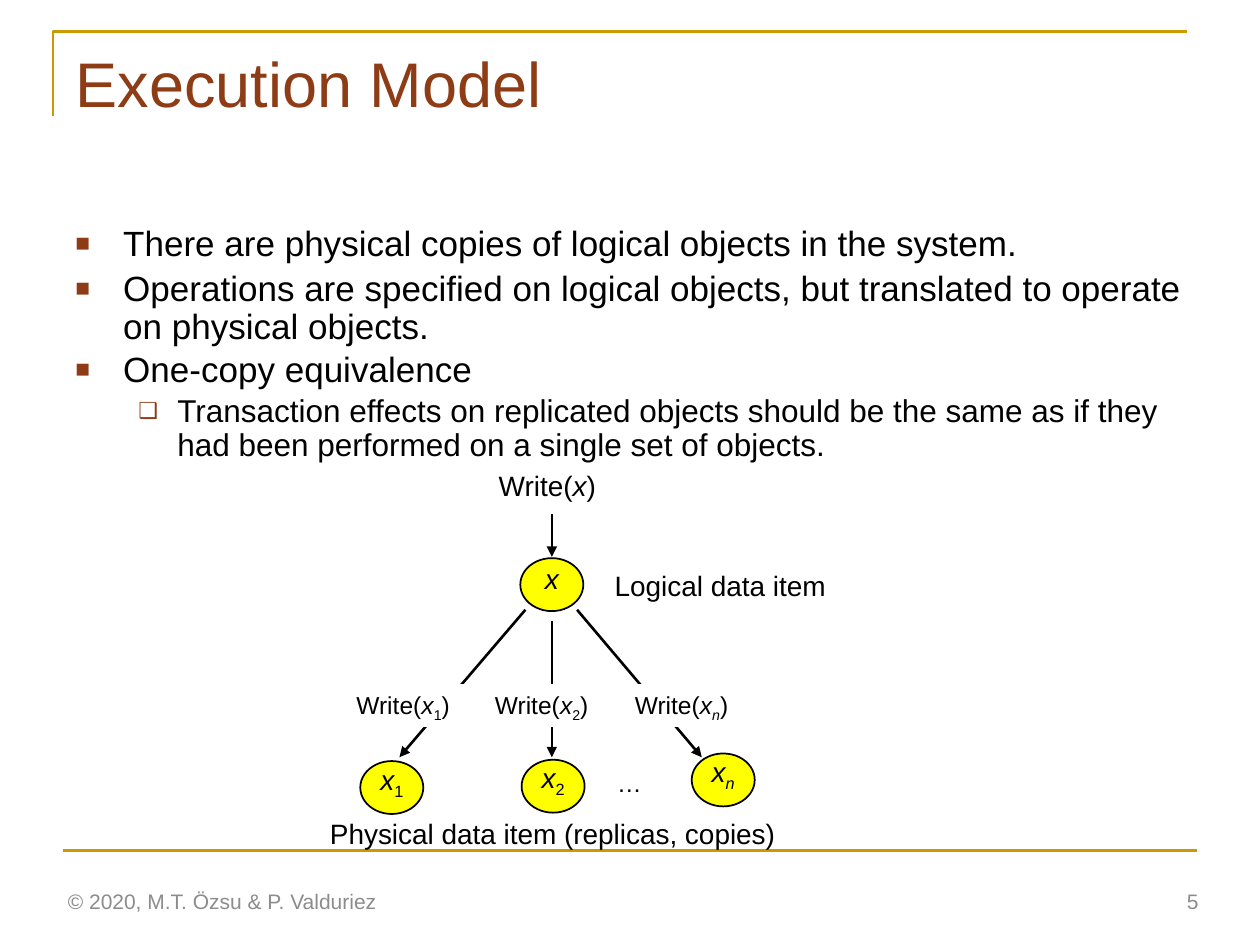
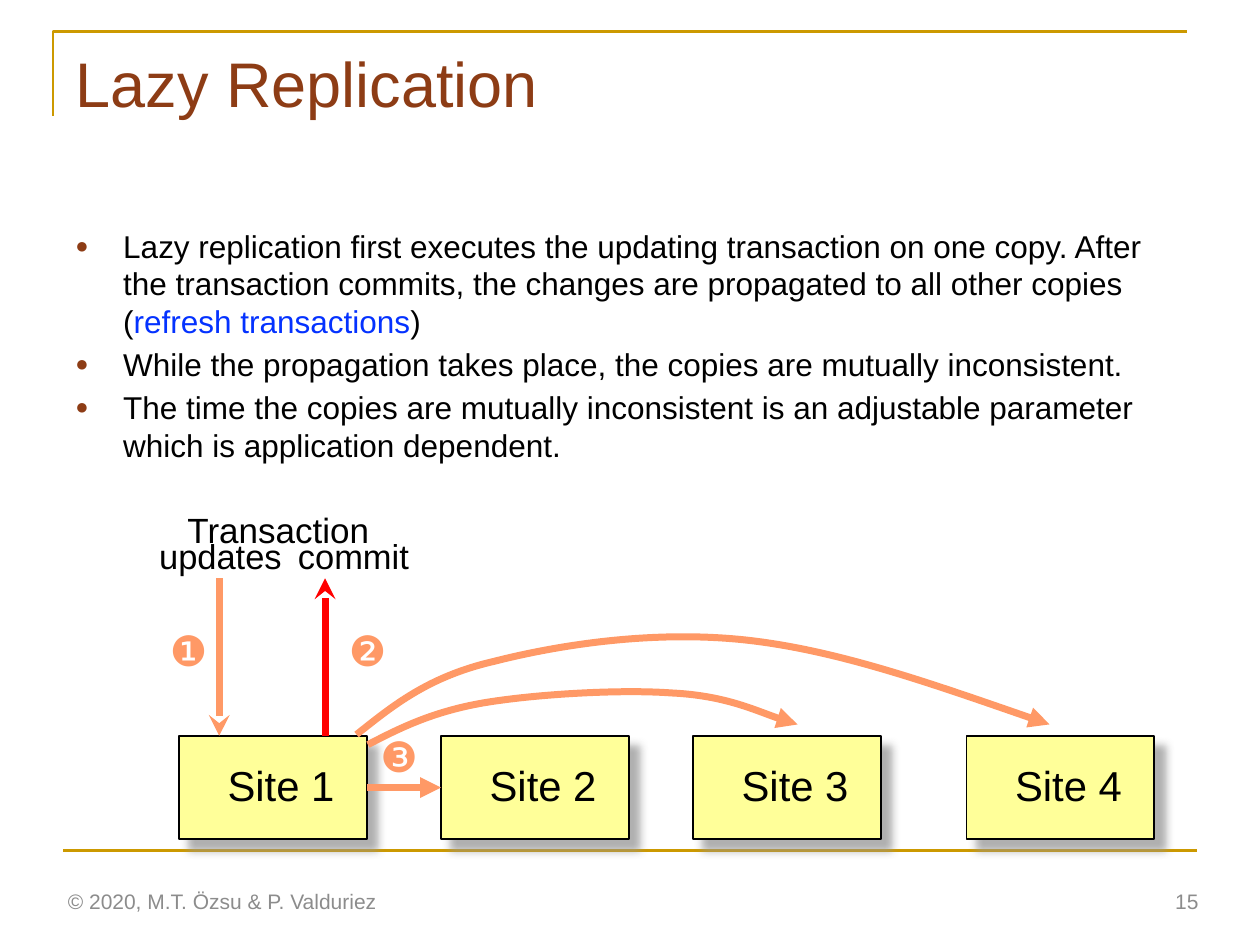
from lxml import etree
from pptx import Presentation
from pptx.dml.color import RGBColor
from pptx.enum import shapes, text
from pptx.oxml import ns, parse_xml
from pptx.util import Pt

PX = 9144  # EMU in one px, at 100 px to the inch
FONT = "Arial"
BROWN = RGBColor(0x8D, 0x3C, 0x15)
GOLD = RGBColor(0xCC, 0x99, 0x00)
GREY = RGBColor(0x8C, 0x8C, 0x8C)
BLACK = RGBColor(0, 0, 0)
WHITE = RGBColor(255, 255, 255)
BLUE = RGBColor(0x04, 0x32, 0xFF)
RED = RGBColor(255, 0, 0)
ORANGE = RGBColor(0xFF, 0x99, 0x66)
YELLOW = RGBColor(0xFF, 0xFF, 0x00)
PALE_YELLOW = RGBColor(0xFF, 0xFF, 0x99)
LEFT, CENTER, RIGHT = text.PP_ALIGN.LEFT, text.PP_ALIGN.CENTER, text.PP_ALIGN.RIGHT
MIDDLE, TOP = text.MSO_ANCHOR.MIDDLE, text.MSO_ANCHOR.TOP


def write(paragraph, parts, size, color=BLACK, align=LEFT):
    """Add runs; a part is (words, marks), with marks i = italic, s = subscript."""
    paragraph.alignment = align
    for words, marks in parts:
        run = paragraph.add_run()
        run.text = words
        run.font.name = FONT
        run.font.size = Pt(size)
        run.font.color.rgb = color
        run.font.italic = "i" in marks
        if "s" in marks:
            run.font._element.set("baseline", "-25000")


def style_line(line, color, width, arrow=None):
    """Format a connector or an open outline, with an arrowhead at its end."""
    line.line.color.rgb = color
    line.line.width = Pt(width)
    if arrow:
        etree.SubElement(line.line._get_or_add_ln(), ns.qn("a:tailEnd"), type=arrow)
    etree.SubElement(line._element.spPr, ns.qn("a:effectLst"))


square, hollow, dot = (38, 38, "■"), (81, 31, "❑"), (38, 38, "●")
# Body lines: bullet, size, line spacing, space before, parts
# Labels: left, top, width, height, size, colour, alignment, parts
pages = [
    {
        "title": "Execution Model",
        "number": "5",
        "body": [
            (square, 20, 0.9, 4, [("There are physical copies of logical objects in the system.", "")]),
            (square, 20, 0.9, 4, [("Operations are specified on logical objects, but translated "
                                   "to operate on physical objects.", "")]),
            (square, 20, 0.9, 3, [("One-copy equivalence", "")]),
            (hollow, 18, 0.9, 3, [("Transaction effects on replicated objects should be the same as "
                                   "if they had been performed on a single set of objects.", "")]),
        ],
        "labels": [
            (386, 367, 99, 37, 16, BLACK, LEFT, [("Write(", ""), ("x", "i"), (")", "")]),
            (478, 446, 190, 37, 16, BLACK, LEFT, [("Logical data item", "")]),
            (480, 605, 40, 34, 14, BLACK, LEFT, [("…", "")]),
            (252, 643, 378, 37, 16, BLACK, LEFT, [("Physical data item (replicas, copies)", "")]),
        ],
    },
    {
        "title": "Lazy Replication",
        "number": "15",
        "body": [
            (dot, 18, 1, 3, [("Lazy replication first executes the updating transaction on one copy. "
                              "After the transaction commits, the changes are propagated to all "
                              "other copies (", ""), ("refresh transactions", ""), (")", "")]),
            (dot, 18, 1, 3, [("While the propagation takes place, the copies are mutually "
                              "inconsistent.", "")]),
            (dot, 18, 1, 3, [("The time the copies are mutually inconsistent is an adjustable "
                              "parameter which is application dependent.", "")]),
        ],
        "labels": [
            (138, 399, 166, 44, 20, BLACK, CENTER, [("Transaction", "")]),
            (116, 420, 118, 43, 19.7, BLACK, CENTER, [("updates", "")]),
            (224, 420, 113, 43, 19.7, BLACK, CENTER, [("commit", "")]),
            (125, 491, 50, 50, 23.9, ORANGE, LEFT, [("❶", "")]),
            (267, 491, 50, 50, 23.9, ORANGE, LEFT, [("❷", "")]),
            (292, 575, 50, 50, 23.9, ORANGE, LEFT, [("❸", "")]),
        ],
    },
]

presentation = Presentation()
presentation.slide_width, presentation.slide_height = 1000 * PX, 750 * PX

# Frame, title, body and footer of every slide
slides = []
bodies = []
for page in pages:
    slide = presentation.slides.add_slide(presentation.slide_layouts[5])
    slides.append(slide)

    builder = slide.shapes.build_freeform(42, 92, scale=PX)
    builder.add_line_segments([(42, 25), (942, 25)], close=False)
    corner = builder.convert_to_shape()
    corner.fill.background()
    style_line(corner, GOLD, 1.5)
    rule = slide.shapes.add_connector(
        shapes.MSO_CONNECTOR.STRAIGHT, 50 * PX, 675 * PX, 950 * PX, 675 * PX)
    style_line(rule, GOLD, 1.5)

    title = slide.shapes.title
    title.left, title.top, title.width, title.height = 50 * PX, 30 * PX, 900 * PX, 125 * PX
    title.text_frame.vertical_anchor = TOP
    title.text_frame.auto_size = text.MSO_AUTO_SIZE.NONE
    write(title.text_frame.paragraphs[0], [(page["title"], "")], 36, BROWN)

    body = slide.shapes.add_textbox(50 * PX, 175 * PX, 900 * PX, 220 * PX).text_frame
    body.word_wrap = True
    bodies.append(body)
    for index, (bullet, size, spacing, before, parts) in enumerate(page["body"]):
        paragraph = body.add_paragraph() if index else body.paragraphs[0]
        write(paragraph, parts, size)
        paragraph.line_spacing = spacing
        paragraph.space_before = Pt(before)
        margin, hanging, sign = bullet
        properties = paragraph._p.get_or_add_pPr()
        properties.set("marL", str(margin * PX))
        properties.set("indent", str(-hanging * PX))
        bullet_color = etree.SubElement(properties, ns.qn("a:buClr"))
        etree.SubElement(bullet_color, ns.qn("a:srgbClr"), val=str(BROWN))
        etree.SubElement(properties, ns.qn("a:buSzPct"), val="70000")
        etree.SubElement(properties, ns.qn("a:buFont"), typeface=FONT)
        etree.SubElement(properties, ns.qn("a:buChar"), char=sign)

    footers = [
        (44, 695, 338, 40, 12, GREY, LEFT, [("© 2020, M.T. Özsu & P. Valduriez", "")]),
        (736, 695, 225, 40, 12, GREY, RIGHT, [(page["number"], "")]),
    ]
    for left, top, width, height, size, color, align, parts in page["labels"] + footers:
        label = slide.shapes.add_textbox(left * PX, top * PX, width * PX, height * PX).text_frame
        label.word_wrap = height == 40
        label.vertical_anchor = MIDDLE if height == 40 else TOP
        write(label.paragraphs[0], parts, size, color, align)

execution, lazy = slides
bodies[1].paragraphs[0].runs[1].font.color.rgb = BLUE

# Execution model: one logical item written to its copies
for x1, y1, x2, y2 in [(438, 408, 438, 442), (417, 484, 317, 601),
                       (438, 493, 438, 601), (458, 484, 557, 601)]:
    arrow = execution.shapes.add_connector(
        shapes.MSO_CONNECTOR.STRAIGHT, x1 * PX, y1 * PX, x2 * PX, y2 * PX)
    style_line(arrow, BLACK, 1.5, "triangle")

for left, width, copy_name, marks in [(273, 119, "1", "s"), (383, 117, "2", "s"), (494, 126, "n", "is")]:
    write_label = execution.shapes.add_shape(
        shapes.MSO_SHAPE.RECTANGLE, left * PX, 543 * PX, width * PX, 34 * PX)
    write_label.shadow.inherit = False
    write_label.fill.solid()
    write_label.fill.fore_color.rgb = WHITE
    write_label.line.fill.background()
    write_label.text_frame.vertical_anchor = TOP
    write(write_label.text_frame.paragraphs[0],
          [("Write(", ""), ("x", "i"), (copy_name, marks), (")", "")], 14)

for left, top, parts in [(413, 443, [("x", "i")]),
                         (286, 604, [("x", "i"), ("1", "s")]),
                         (414, 603, [("x", "i"), ("2", "s")]),
                         (549, 598, [("x", "i"), ("n", "is")])]:
    item = execution.shapes.add_shape(
        shapes.MSO_SHAPE.OVAL, left * PX, top * PX, 50 * PX, 42 * PX)
    item.shadow.inherit = False
    item.fill.solid()
    item.fill.fore_color.rgb = YELLOW
    item.line.color.rgb = BLACK
    item.line.width = Pt(1)
    frame = item.text_frame
    frame.word_wrap = False
    frame.vertical_anchor = MIDDLE
    frame.margin_left = frame.margin_right = frame.margin_top = 0
    frame.margin_bottom = 10 * PX
    write(frame.paragraphs[0], parts, 16, align=CENTER)

# Lazy replication: a transaction at site 1, then refreshes at the others
sites = []
for number, left in enumerate([142, 350, 550, 767], start=1):
    site = lazy.shapes.add_shape(
        shapes.MSO_SHAPE.RECTANGLE, left * PX, 584 * PX, 149 * PX, 82 * PX)
    site.fill.solid()
    site.fill.fore_color.rgb = PALE_YELLOW
    site.line.color.rgb = BLACK
    site.line.width = Pt(1)
    site._element.spPr.append(parse_xml(
        f'<a:effectLst {ns.nsdecls("a")}><a:outerShdw blurRad="63500" dist="107950" dir="2700000">'
        '<a:srgbClr val="969696"><a:alpha val="75000"/></a:srgbClr></a:outerShdw></a:effectLst>'))
    frame = site.text_frame
    frame.word_wrap = False
    frame.vertical_anchor = MIDDLE
    frame.margin_left, frame.margin_right = 13 * PX, 0
    frame.margin_top, frame.margin_bottom = 0, 5 * PX
    write(frame.paragraphs[0], [(f"Site {number}", "")], 23.9, align=CENTER)
    sites.append(site)

for x, start, end, color in [(174, 459, 584, ORANGE), (258, 584, 459, RED)]:
    arrow = lazy.shapes.add_connector(
        shapes.MSO_CONNECTOR.STRAIGHT, x * PX, start * PX, x * PX, end * PX)
    style_line(arrow, color, 4, "stealth")

refresh = lazy.shapes.add_connector(
    shapes.MSO_CONNECTOR.STRAIGHT, 291 * PX, 625 * PX, 350 * PX, 625 * PX)
refresh.begin_connect(sites[0], 3)
refresh.end_connect(sites[1], 1)
style_line(refresh, ORANGE, 4, "triangle")

refresh_curves = [
    [(292, 591), (317, 578), (343, 565), (383, 558), (424, 551),
     (492, 547), (533, 550), (575, 552), (617, 571), (633, 575)],
    [(283, 583), (312, 560), (340, 537), (392, 525), (443, 512),
     (518, 500), (592, 508), (665, 516), (749, 546), (833, 575)],
]
for start, *points in refresh_curves:
    builder = lazy.shapes.build_freeform(*start, scale=PX)
    builder.add_line_segments(points, close=False)
    curve = builder.convert_to_shape()
    # Each three straight segments become one Bézier segment
    segments = list(curve._element.iter(ns.qn("a:lnTo")))
    for first in range(0, len(segments), 3):
        bezier = etree.SubElement(segments[0].getparent(), ns.qn("a:cubicBezTo"))
        for segment in segments[first:first + 3]:
            bezier.append(segment[0])
    for segment in segments:
        segment.getparent().remove(segment)
    curve.fill.background()
    style_line(curve, ORANGE, 4, "triangle")

presentation.save("out.pptx")
